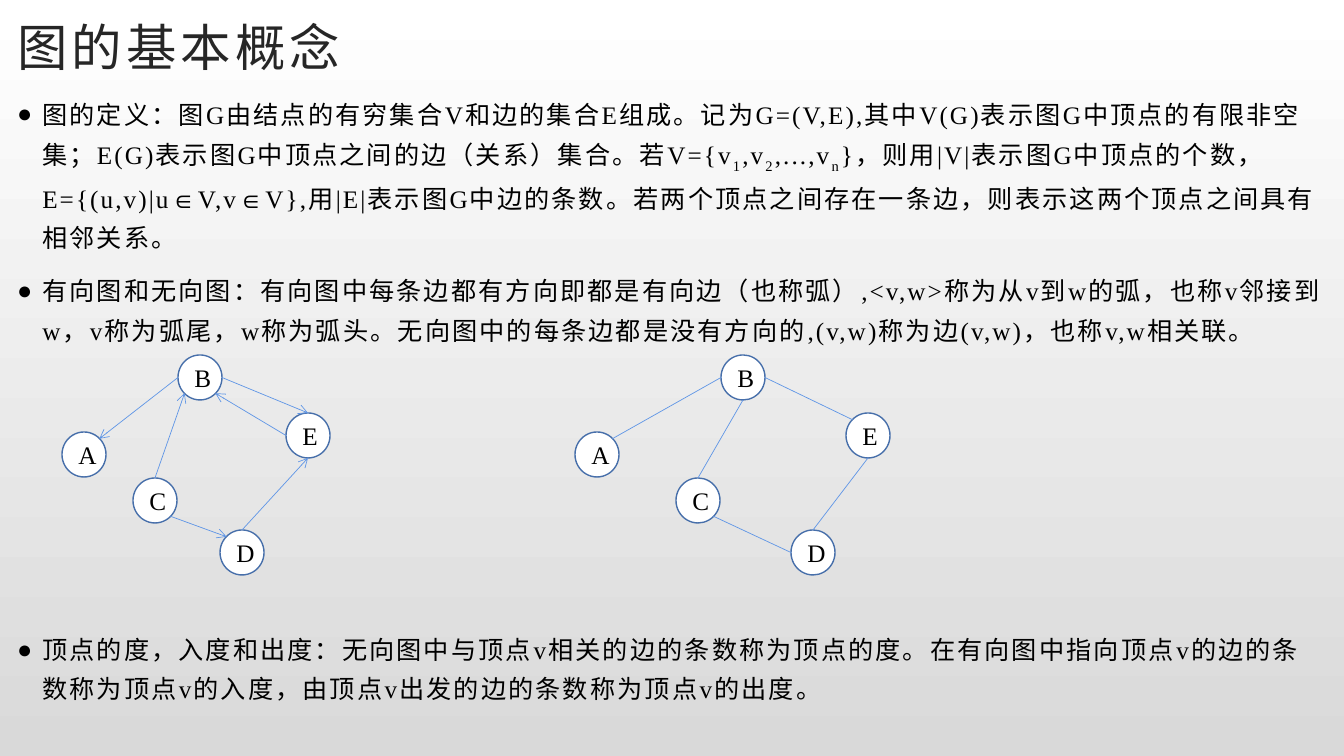
import pptx
import pptx.dml.color
import pptx.enum.shapes
import pptx.enum.text
import pptx.oxml.ns
import pptx.util
from lxml import etree

TITLE = "图的基本概念"
# Each paragraph is a list of (text, is_subscript) runs.
PARAGRAPHS = [
    [
        ("图的定义：图G由结点的有穷集合V和边的集合E组成。记为G=(V,E),其中V(G)表示图G中顶点的有限非空集；"
         "E(G)表示图G中顶点之间的边（关系）集合。若V={v", False),
        ("1", True), (",v", False), ("2", True), (",...,v", False), ("n", True),
        ("}，则用|V|表示图G中顶点的个数，E={(u,v)|u∈V,v∈V},用|E|表示图G中边的条数。"
         "若两个顶点之间存在一条边，则表示这两个顶点之间具有相邻关系。", False),
    ],
    [
        ("有向图和无向图：有向图中每条边都有方向即都是有向边（也称弧）,<v,w>称为从v到w的弧，"
         "也称v邻接到w，v称为弧尾，w称为弧头。无向图中的每条边都是没有方向的,(v,w)称为边(v,w)，"
         "也称v,w相关联。", False),
    ],
    [
        ("顶点的度，入度和出度：无向图中与顶点v相关的边的条数称为顶点的度。在有向图中指向顶点v的边的条数"
         "称为顶点v的入度，由顶点v出发的边的条数称为顶点v的出度。", False),
    ],
]
DIAGRAM_GAP = 190  # points left free above the last paragraph

NODE_TOPS = {"A": 432, "B": 355, "C": 478, "D": 530, "E": 413}
# An edge is (start node, start site, end node, end site).
GRAPHS = [
    {
        "directed": True,
        "lefts": {"A": 62, "B": 178, "C": 133, "D": 220, "E": 286},
        "edges": [
            ("B", "left", "A", "top right"), ("C", "top", "B", "bottom left"),
            ("C", "bottom right", "D", "top left"), ("D", "top", "E", "bottom"),
            ("B", "right", "E", "top"), ("E", "left", "B", "bottom right"),
        ],
    },
    {
        "directed": False,
        "lefts": {"A": 575, "B": 721, "C": 676, "D": 791, "E": 846},
        "edges": [
            ("A", "top right", "B", "left"), ("C", "top", "B", "bottom"),
            ("B", "right", "E", "top left"), ("C", "bottom right", "D", "left"),
            ("D", "top", "E", "bottom"),
        ],
    },
]
NODE_WIDTH, NODE_HEIGHT = 44, 45
# Fractions of the node's width and height, in the ellipse's own site order.
SITES = {
    "top": (0.5, 0), "top left": (0.15, 0.15), "left": (0, 0.5),
    "bottom left": (0.15, 0.85), "bottom": (0.5, 1), "bottom right": (0.85, 0.85),
    "right": (1, 0.5), "top right": (0.85, 0.15),
}
SITE_ORDER = list(SITES)
LATIN, CHINESE = "Times New Roman", "Noto Sans CJK SC"


def px(length):
    return round(length * 914400 / 100.8)


def color(hex_string):
    return pptx.dml.color.RGBColor.from_string(hex_string)


def add_child(parent, tag, **attributes):
    return etree.SubElement(parent, pptx.oxml.ns.qn(tag), **attributes)


def add_text(para, text, size=18, font=LATIN, hex_color="000000", spacing=0, subscript=False):
    """Append a run; spacing is the letter spacing in points."""
    span = para.add_run()
    span.text = text
    span.font.size = pptx.util.Pt(size)
    span.font.name = font
    span.font.color.rgb = color(hex_color)
    properties = span.font._element
    properties.set("spc", str(round(spacing * 100)))
    if subscript:
        properties.set("baseline", "-25000")
    add_child(properties, "a:ea", typeface=CHINESE)


def place(shape, left, top, width, height):
    shape.left, shape.top = px(left), px(top)
    shape.width, shape.height = px(width), px(height)


def fill_title(title):
    place(title, 7, 7, 1210, 78)
    frame = title.text_frame
    frame.auto_size = pptx.enum.text.MSO_AUTO_SIZE.NONE
    frame.vertical_anchor = pptx.enum.text.MSO_ANCHOR.MIDDLE
    para = frame.paragraphs[0]
    para.alignment = pptx.enum.text.PP_ALIGN.LEFT
    add_text(para, TITLE, size=36, font=CHINESE, hex_color="262626", spacing=3)


def fill_body(body):
    place(body, 7, 85, 1327, 660)
    frame = body.text_frame
    frame.auto_size = pptx.enum.text.MSO_AUTO_SIZE.NONE
    for number, runs in enumerate(PARAGRAPHS):
        para = frame.add_paragraph() if number else frame.paragraphs[0]
        properties = para._p.get_or_add_pPr()
        properties.set("marL", "228600")
        properties.set("indent", "-228600")
        add_child(properties, "a:buFont", typeface="Arial")
        add_child(properties, "a:buChar", char="●")
        para.line_spacing = 1.3
        is_last = number == len(PARAGRAPHS) - 1
        para.space_before = pptx.util.Pt(DIAGRAM_GAP if is_last else 0)
        para.space_after = pptx.util.Pt(10)
        for text, subscript in runs:
            add_text(para, text, spacing=1.5, subscript=subscript)


def add_node(page, label, left, top):
    node = page.shapes.add_shape(
        pptx.enum.shapes.MSO_SHAPE.OVAL, px(left), px(top), px(NODE_WIDTH), px(NODE_HEIGHT))
    node.shadow.inherit = False
    node.fill.solid()
    node.fill.fore_color.rgb = color("FFFFFF")
    node.line.color.rgb = color("476FAA")
    node.line.width = pptx.util.Pt(1)
    node.text_frame.vertical_anchor = pptx.enum.text.MSO_ANCHOR.MIDDLE
    para = node.text_frame.paragraphs[0]
    para.alignment = pptx.enum.text.PP_ALIGN.CENTER
    add_text(para, label)
    return node


def site_point(node, site):
    across, down = SITES[site]
    return round(node.left + across * node.width), round(node.top + down * node.height)


def add_edge(page, start, start_site, end, end_site, directed):
    edge = page.shapes.add_connector(
        pptx.enum.shapes.MSO_CONNECTOR.STRAIGHT,
        *site_point(start, start_site), *site_point(end, end_site))
    edge.line.color.rgb = color("6096E6")
    edge.line.width = pptx.util.Pt(0.5)
    if directed:
        add_child(edge.line._get_or_add_ln(), "a:tailEnd", type="arrow")
    add_child(edge._element.spPr, "a:effectLst")
    glue = edge._element.find(".//" + pptx.oxml.ns.qn("p:cNvCxnSpPr"))
    for tag, node, site in (("a:stCxn", start, start_site), ("a:endCxn", end, end_site)):
        add_child(glue, tag, id=str(node.shape_id), idx=str(SITE_ORDER.index(site)))


def add_graph(page, graph):
    nodes = {label: add_node(page, label, left, NODE_TOPS[label])
             for label, left in graph["lefts"].items()}
    for start, start_site, end, end_site in graph["edges"]:
        add_edge(page, nodes[start], start_site, nodes[end], end_site, graph["directed"])


def main():
    deck = pptx.Presentation()
    deck.slide_width, deck.slide_height = px(1344), px(756)
    page = deck.slides.add_slide(deck.slide_layouts[1])
    backdrop = page.background.fill
    backdrop.gradient()
    backdrop.gradient_angle = 270
    for stop, hex_color in zip(backdrop.gradient_stops, ("FFFFFF", "D9D9D9")):
        stop.color.rgb = color(hex_color)
    fill_title(page.shapes.title)
    fill_body(page.placeholders[1])
    for graph in GRAPHS:
        add_graph(page, graph)
    deck.save("out.pptx")


if __name__ == "__main__":
    main()
